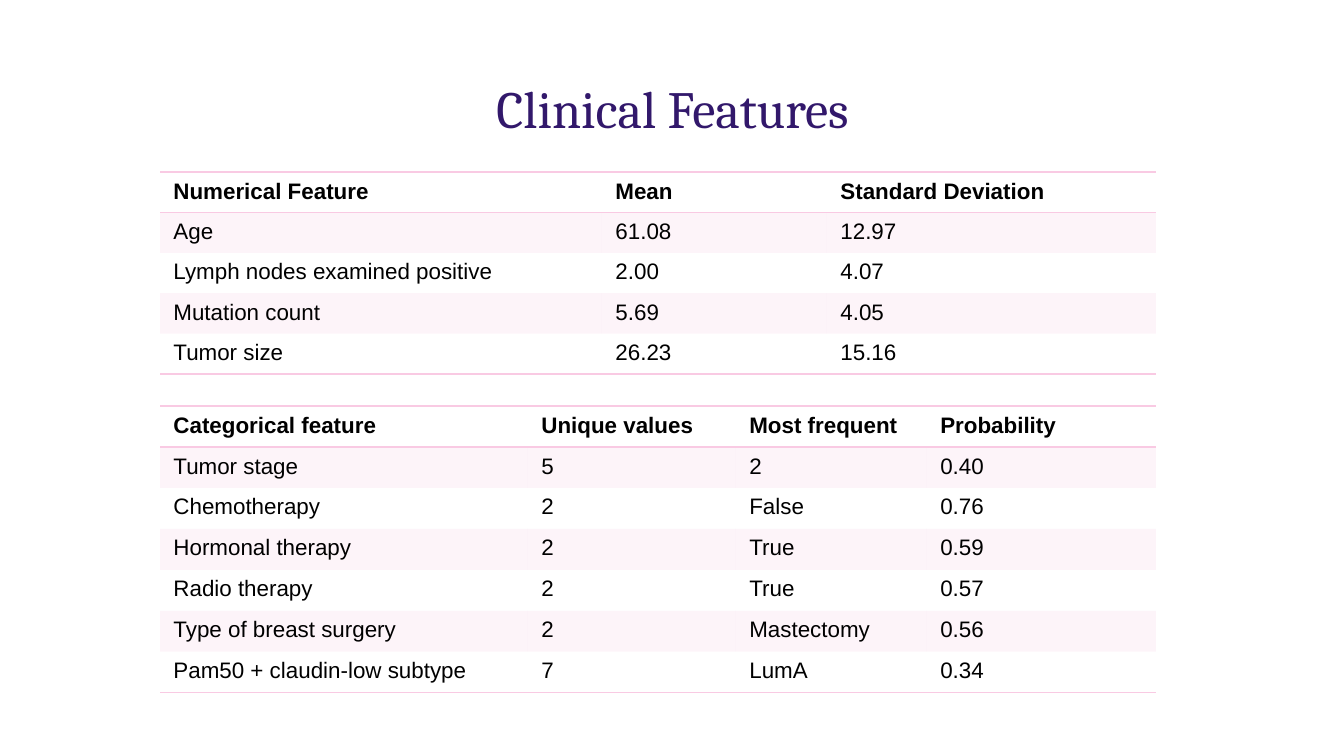
from lxml import etree
from pptx import Presentation, util as u
from pptx.dml import color
from pptx.enum import text
from pptx.oxml import ns

SCALE = 914400 * 10 / 1344
PINK = "F9CAE3"
NO_GRID_STYLE = "{2D5ABB26-0587-4C30-8999-92F81FD0307C}"
TITLE_FONT = {"name": "Cambria", "size": u.Pt(28), "bold": False}
BODY_FONT = {"name": "Arial", "size": u.Pt(12), "bold": False}
HEADER_FONT = {**BODY_FONT, "bold": True}

NUMERICAL = [
    ("Numerical Feature", "Mean", "Standard Deviation"),
    ("Age", "61.08", "12.97"),
    ("Lymph nodes examined positive", "2.00", "4.07"),
    ("Mutation count", "5.69", "4.05"),
    ("Tumor size", "26.23", "15.16"),
]
CATEGORICAL = [
    ("Categorical feature", "Unique values", "Most frequent", "Probability"),
    ("Tumor stage", "5", "2", "0.40"),
    ("Chemotherapy", "2", "False", "0.76"),
    ("Hormonal therapy", "2", "True", "0.59"),
    ("Radio therapy", "2", "True", "0.57"),
    ("Type of breast surgery", "2", "Mastectomy", "0.56"),
    ("Pam50 + claudin-low subtype", "7", "LumA", "0.34"),
]


def px(length):
    return u.Emu(round(length * SCALE))


def rgb(value):
    return color.RGBColor.from_string(value)


def set_attributes(target, values):
    for name, value in values.items():
        setattr(target, name, value)


def write(para, words, font, ink):
    span = para.add_run()
    span.text = words
    set_attributes(span.font, font)
    span.font.color.rgb = rgb(ink)


def add_title(page, words):
    box = page.shapes.add_textbox(px(177), px(63), px(991), px(85))
    margins = dict.fromkeys(
        ("margin_left", "margin_top", "margin_right", "margin_bottom"), u.Inches(0.1)
    )
    set_attributes(box.text_frame, {
        "word_wrap": True,
        "vertical_anchor": text.MSO_ANCHOR.TOP,
        **margins,
    })
    para = box.text_frame.paragraphs[0]
    para.alignment = text.PP_ALIGN.CENTER
    write(para, words, TITLE_FONT, "32186B")


def add_border(cell, side):
    properties = cell._tc.get_or_add_tcPr()
    line = etree.SubElement(properties, ns.qn(f"a:ln{side}"), w=str(u.Pt(1)))
    fill = etree.SubElement(line, ns.qn("a:solidFill"))
    etree.SubElement(fill, ns.qn("a:srgbClr"), val=PINK)


def paint(cell, banded):
    if not banded:
        cell.fill.background()
        return
    cell.fill.solid()
    cell.fill.fore_color.rgb = rgb(PINK)
    tint = cell._tc.tcPr.find(".//" + ns.qn("a:srgbClr"))
    if tint is None:
        return
    fill_tints = cell._tc.tcPr.findall(ns.qn("a:solidFill") + "/" + ns.qn("a:srgbClr"))
    etree.SubElement(fill_tints[-1], ns.qn("a:alpha"), val="20000")


def add_feature_table(page, top, widths, row_height, rows):
    frame = page.shapes.add_table(
        len(rows), len(widths), px(160), px(top), px(sum(widths)), px(row_height * len(rows))
    )
    table = frame.table
    set_attributes(table, {"first_row": False, "horz_banding": False})
    table._tbl.tblPr.find(ns.qn("a:tableStyleId")).text = NO_GRID_STYLE
    for column, width in zip(table.columns, widths):
        column.width = px(width)
    for index, values in enumerate(rows):
        table.rows[index].height = px(row_height)
        sides = {0: "TB", len(rows) - 1: "B"}.get(index, "")
        font = BODY_FONT if index else HEADER_FONT
        for cell, value in zip(table.rows[index].cells, values):
            write(cell.text_frame.paragraphs[0], value, font, "000000")
            for side in sides:
                add_border(cell, side)
            paint(cell, index % 2 == 1)


def main():
    deck = Presentation()
    set_attributes(deck, {"slide_width": px(1344), "slide_height": px(756)})
    page = deck.slides.add_slide(deck.slide_layouts[6])
    add_title(page, "Clinical Features")
    add_feature_table(page, 172, (442, 225, 329), 36, NUMERICAL)
    add_feature_table(page, 406, (368, 208, 191, 229), 41, CATEGORICAL)
    deck.save("out.pptx")


if __name__ == "__main__":
    main()
